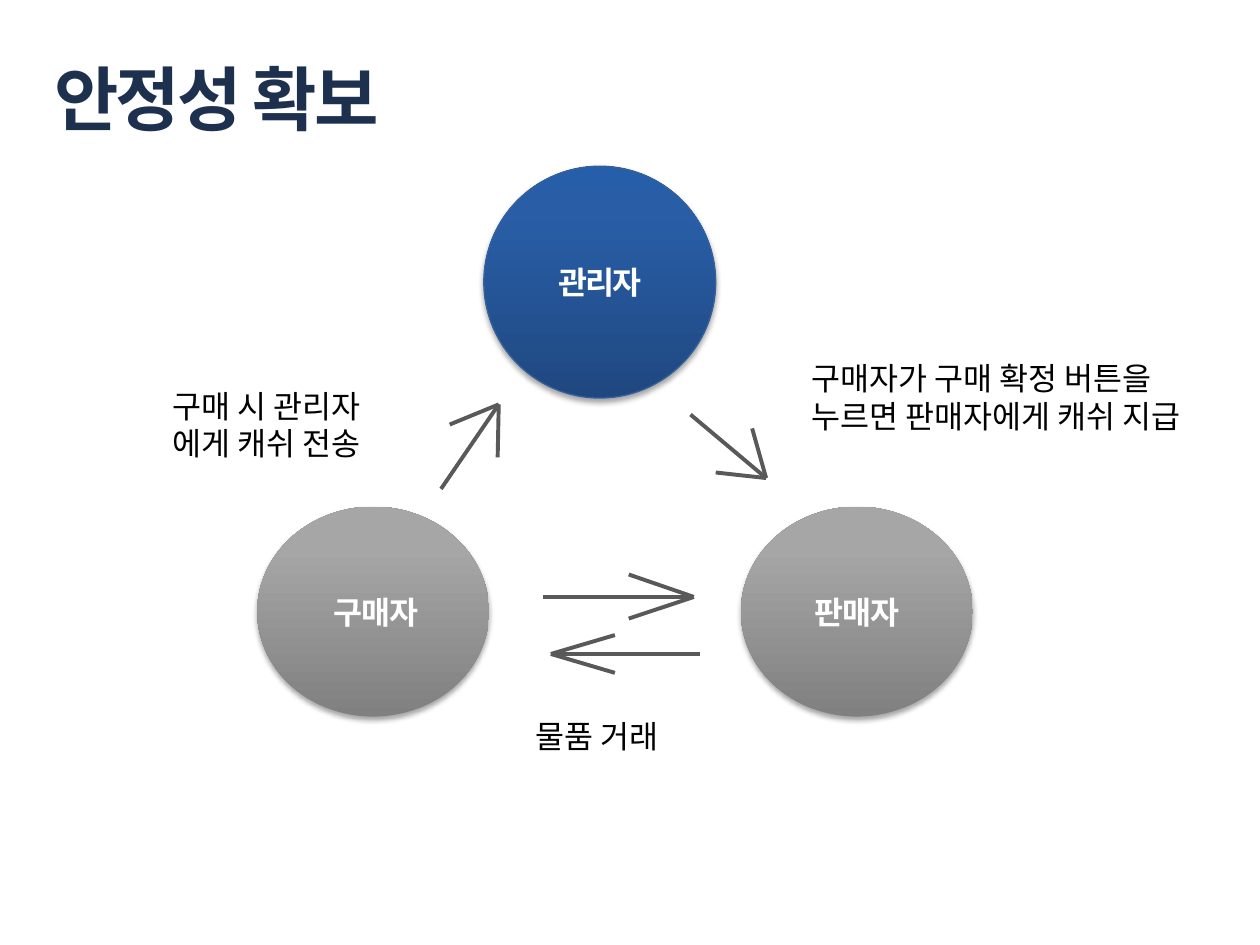
from dataclasses import dataclass
from lxml import etree
from pptx import Presentation
from pptx.dml.color import RGBColor
from pptx.enum.shapes import MSO_CONNECTOR, MSO_SHAPE
from pptx.enum.text import MSO_ANCHOR, PP_ALIGN
from pptx.oxml import parse_xml
from pptx.oxml.ns import nsdecls, qn
from pptx.util import Pt

OVAL = MSO_SHAPE.OVAL
STRAIGHT = MSO_CONNECTOR.STRAIGHT
MIDDLE, TOP = MSO_ANCHOR.MIDDLE, MSO_ANCHOR.TOP
LEFT, CENTER = PP_ALIGN.LEFT, PP_ALIGN.CENTER


@dataclass(frozen=True)
class Theme:
    font: str = "Noto Sans CJK KR"
    title: str = "1D314E"
    text: str = "000000"
    light: str = "FFFFFF"
    arrow: str = "595959"
    outline: str = "35609C"
    blue: tuple = ((0, "1F4880"), (80, "295EA7"), (100, "265EAA"))
    gray: tuple = ((0, "808080"), (80, "A6A6A6"))
    title_size: int = 40
    body_size: int = 18


T = Theme()


def write(sp, text, size, color, bold=False, spacing=0, align=LEFT, anchor=TOP):
    tf = sp.text_frame
    tf.word_wrap = True
    tf.vertical_anchor = anchor
    p = tf.paragraphs[0]
    p.alignment = align
    r = p.add_run()
    r.text = text
    r.font.size = Pt(size)
    r.font.bold = bold
    r.font.name = T.font
    r.font.color.rgb = RGBColor.from_string(color)
    rPr = r.font._element
    rPr.set("spc", str(round(spacing * 100)))
    etree.SubElement(rPr, qn("a:ea")).set("typeface", T.font)


prs = Presentation()
prs.slide_width, prs.slide_height = Pt(720), Pt(540)
s = prs.slides.add_slide(prs.slide_layouts[6])

title = s.shapes.add_textbox(Pt(23.8), Pt(21.6), Pt(668), Pt(67.7))
write(title, "안정성 확보", T.title_size, T.title, True, -1.5, anchor=MIDDLE)

roles = [
    ("관리자", 276.5, 95, 132.5, T.blue, T.outline, -1.2),
    (" 구매자", 147, 289.5, 120, T.gray, None, -0.5),
    ("판매자", 423.4, 289.5, 120, T.gray, None, -0.5),
]
for name, x, y, h, stops, outline, spacing in roles:
    sp = s.shapes.add_shape(OVAL, Pt(x), Pt(y), Pt(132.5), Pt(h))
    if outline:
        sp.line.color.rgb = RGBColor.from_string(outline)
        sp.line.width = Pt(0.75)
    else:
        sp.line.fill.background()
    gs = "".join(
        f'<a:gs pos="{pos * 1000}"><a:srgbClr val="{color}"/></a:gs>'
        for pos, color in stops
    )
    spPr = sp._element.spPr
    spPr.find(qn("a:prstGeom")).addnext(parse_xml(
        f'<a:gradFill {nsdecls("a")} rotWithShape="1"><a:gsLst>{gs}</a:gsLst>'
        '<a:lin ang="16200000" scaled="0"/></a:gradFill>'
    ))
    spPr.append(parse_xml(
        f'<a:effectLst {nsdecls("a")}><a:outerShdw blurRad="{Pt(3.1)}" '
        f'dist="{Pt(1.8)}" dir="5400000" rotWithShape="0">'
        '<a:srgbClr val="000000"><a:alpha val="35000"/></a:srgbClr>'
        '</a:outerShdw></a:effectLst>'
    ))
    write(sp, name, T.body_size, T.light, True, spacing, CENTER, MIDDLE)

arrows = [
    ((285, 231.1), (257, 242.6), (284.4, 261.4), (252, 279.4)),
    ((437.8, 273.2), (429.8, 244.8), (409, 270), (394.6, 236.9)),
    ((396.5, 341.1), (359.3, 328.3), (359.3, 353.5), (310.3, 341.1)),
    ((314.8, 373.7), (351.4, 384.5), (351.4, 362.9), (400.3, 373.7)),
]
for tip, *ends in arrows:
    group = s.shapes.add_group_shape()
    for end in ends:
        line = group.shapes.add_connector(STRAIGHT, *map(Pt, tip + end))
        line.line.color.rgb = RGBColor.from_string(T.arrow)
        line.line.width = Pt(2.25)
        etree.SubElement(line._element.spPr, qn("a:effectLst"))

captions = [
    ("구매 시 관리자 에게 캐쉬 전송", 91.4, 217.4, 144.7, 51),
    ("구매자가 구매 확정 버튼을 누르면 판매자에게 캐쉬 지급", 456.5, 201.6, 252, 51),
    ("물품 거래", 298.8, 406, 161.3, 29),
]
for text, x, y, w, h in captions:
    sp = s.shapes.add_textbox(Pt(x), Pt(y), Pt(w), Pt(h))
    write(sp, text, T.body_size, T.text)

prs.save("out.pptx")
